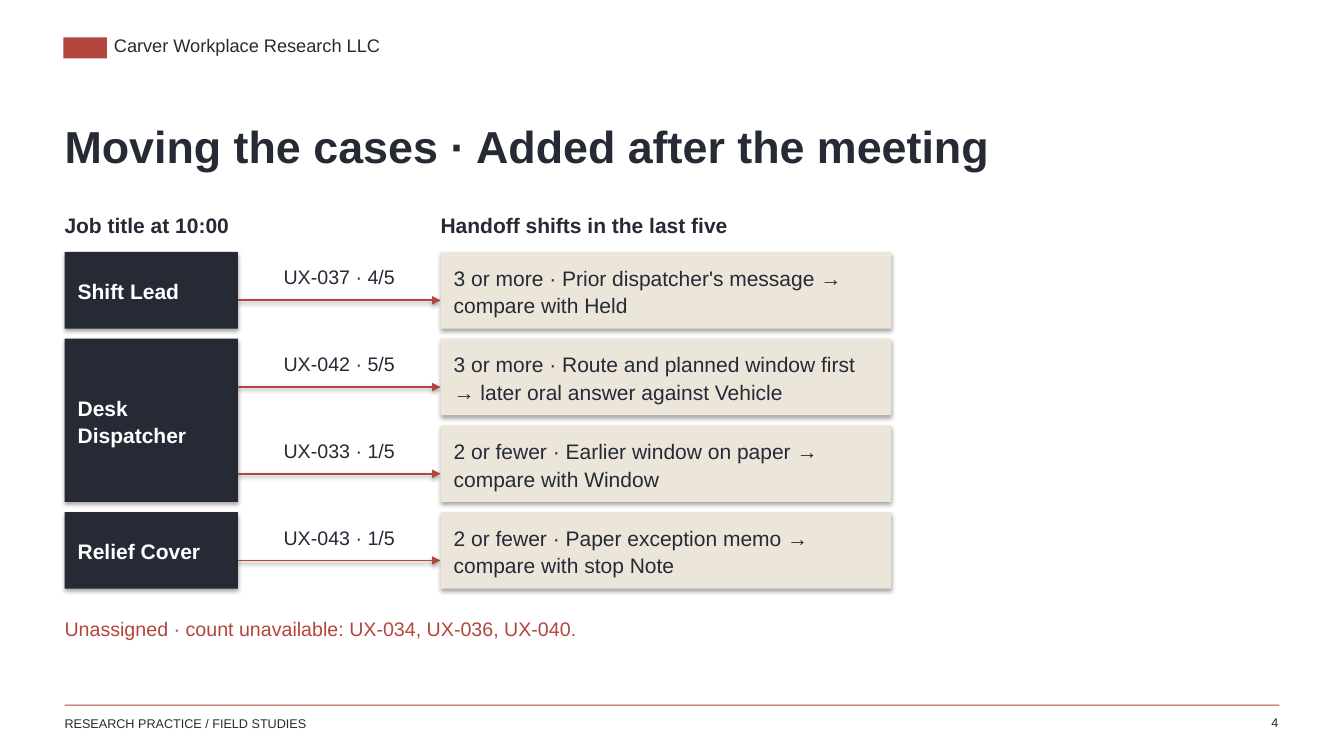
"""Build the slide that maps job titles to case hand-offs."""
import pptx
import pptx.dml.color
import pptx.enum.shapes
import pptx.enum.text
import pptx.oxml
import pptx.oxml.ns
import pptx.util

PX = 9144
COLORS = {"ink": "252A35", "red": "B3463C", "sand": "ECE5DA", "white": "FFFFFF"}
ALIGN = pptx.enum.text.PP_ALIGN
RECTANGLE = pptx.enum.shapes.MSO_SHAPE.RECTANGLE
STRAIGHT = pptx.enum.shapes.MSO_CONNECTOR.STRAIGHT

LEFT, JOB_WIDTH = 64, 172
CASE_LEFT, CASE_WIDTH = 437, 447
ROW_TOP, ROW_HEIGHT, ROW_GAP = 250, 76, 10
ROW_STEP = ROW_HEIGHT + ROW_GAP

JOBS = [("Shift Lead", 1), ("Desk Dispatcher", 2), ("Relief Cover", 1)]
CASES = [
    ("UX-037 · 4/5", "3 or more · Prior dispatcher's message → compare with Held"),
    ("UX-042 · 5/5", "3 or more · Route and planned window first → later oral answer against Vehicle"),
    ("UX-033 · 1/5", "2 or fewer · Earlier window on paper → compare with Window"),
    ("UX-043 · 1/5", "2 or fewer · Paper exception memo → compare with stop Note"),
]
TEXTS = [
    ("Carver Workplace Research LLC", (113, 34, 550, 30), 13, "ink", False, ALIGN.LEFT, 1.0),
    ("Job title at 10:00", (LEFT, 208, 210, 35), 15, "ink", True, ALIGN.LEFT, 1.1),
    ("Handoff shifts in the last five", (CASE_LEFT, 208, CASE_WIDTH, 35), 15, "ink", True, ALIGN.LEFT, 1.1),
    ("Unassigned · count unavailable: UX-034, UX-036, UX-040.", (LEFT, 610, 820, 32), 14, "red", False, ALIGN.LEFT, 1.1),
    ("RESEARCH PRACTICE / FIELD STUDIES", (LEFT, 710, 550, 24), 9, "ink", False, ALIGN.LEFT, 1.0),
    ("4", (1213, 708, 55, 25), 9, "ink", False, ALIGN.RIGHT, 1.1),
]


def write(shape, text, size, color, bold=False, align=ALIGN.LEFT, spacing=1.1, margin=0, anchor="TOP"):
    frame = shape.text_frame
    frame.text = text
    paragraph = frame.paragraphs[0]
    formats = [
        (frame, {
            "word_wrap": True,
            "auto_size": pptx.enum.text.MSO_AUTO_SIZE.NONE,
            "vertical_anchor": pptx.enum.text.MSO_ANCHOR[anchor],
            **{f"margin_{side}": margin * PX for side in ("left", "top", "right", "bottom")},
        }),
        (paragraph, {"alignment": align, "line_spacing": spacing}),
        (paragraph.runs[0].font, {"name": "Arial", "size": pptx.util.Pt(size), "bold": bold}),
    ]
    for target, values in formats:
        for name, value in values.items():
            setattr(target, name, value)
    paragraph.runs[0].font.color.rgb = pptx.dml.color.RGBColor.from_string(COLORS[color])


def add_rectangle(box, color):
    shape = slide.shapes.add_shape(RECTANGLE, *(length * PX for length in box))
    shape.fill.solid()
    shape.fill.fore_color.rgb = pptx.dml.color.RGBColor.from_string(COLORS[color])
    shape.line.fill.background()
    return shape


presentation = pptx.Presentation()
presentation.slide_width = 1333 * PX
presentation.slide_height = 750 * PX
slide = presentation.slides.add_slide(presentation.slide_layouts[5])

title = slide.shapes.title
for name, length in {"left": LEFT, "top": 92, "width": 1200, "height": 100}.items():
    setattr(title, name, length * PX)
write(title, "Moving the cases · Added after the meeting", 32, "ink", bold=True, anchor="MIDDLE")

for box in [(63, 37, 43, 21), (LEFT, 699, 1205, 1)]:
    add_rectangle(box, "red").shadow.inherit = False

for text, box, size, color, bold, align, spacing in TEXTS:
    text_box = slide.shapes.add_textbox(*(length * PX for length in box))
    write(text_box, text, size, color, bold, align, spacing)

row = 0
for job, row_count in JOBS:
    height = row_count * ROW_STEP - ROW_GAP
    job_box = add_rectangle((LEFT, ROW_TOP + row * ROW_STEP, JOB_WIDTH, height), "ink")
    write(job_box, job, 15, "white", bold=True, margin=13, anchor="MIDDLE")
    row += row_count

job_right = LEFT + JOB_WIDTH
for row, (case, action) in enumerate(CASES):
    top = ROW_TOP + row * ROW_STEP
    arrow_y = (top + 48) * PX
    arrow = slide.shapes.add_connector(STRAIGHT, job_right * PX, arrow_y, CASE_LEFT * PX, arrow_y)
    arrow.line.width = pptx.util.Pt(1.3)
    arrow.line.color.rgb = pptx.dml.color.RGBColor.from_string(COLORS["red"])
    head = pptx.oxml.parse_xml(f'<a:tailEnd {pptx.oxml.ns.nsdecls("a")} type="triangle"/>')
    arrow.line._get_or_add_ln().append(head)

    label_width = CASE_LEFT - job_right - 10
    label = slide.shapes.add_textbox((job_right + 5) * PX, (top + 11) * PX, label_width * PX, 30 * PX)
    write(label, case, 14, "ink", align=ALIGN.CENTER)

    case_box = add_rectangle((CASE_LEFT, top, CASE_WIDTH, ROW_HEIGHT), "sand")
    write(case_box, action, 15, "ink", margin=13, anchor="MIDDLE")

presentation.save("out.pptx")
